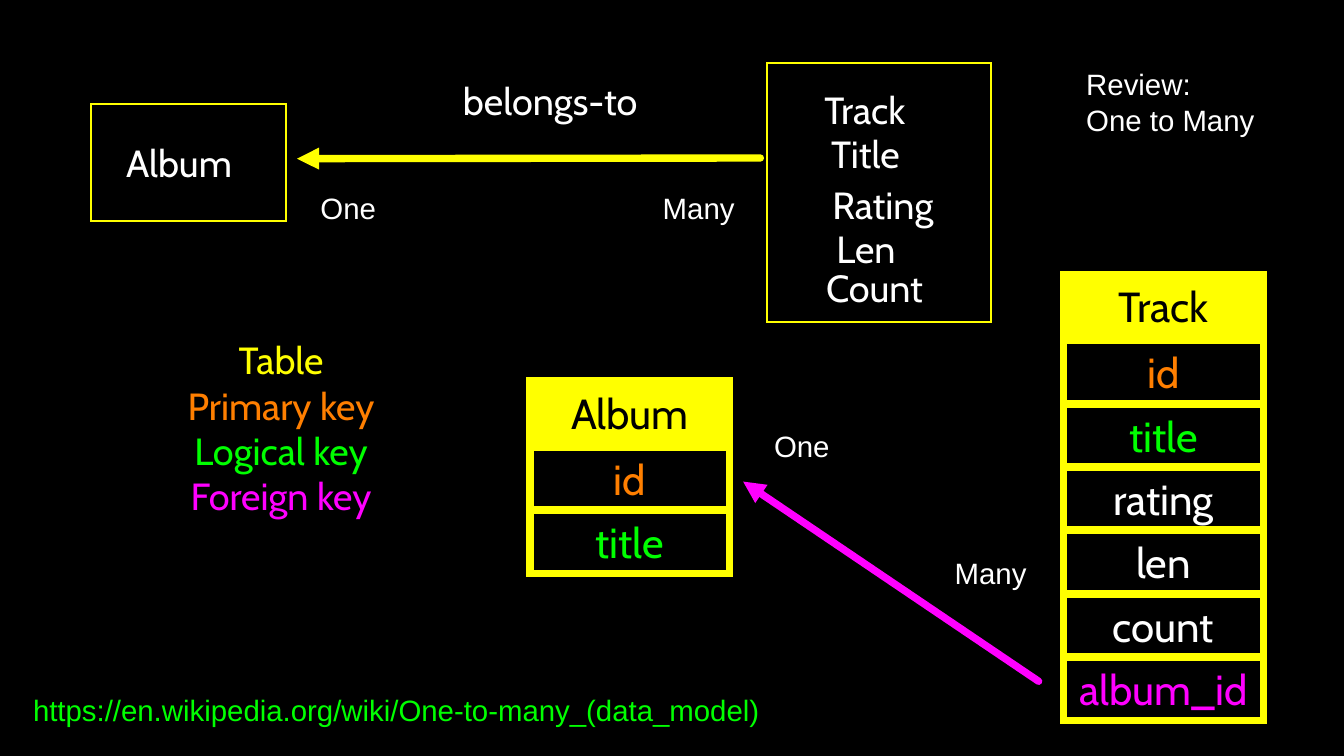
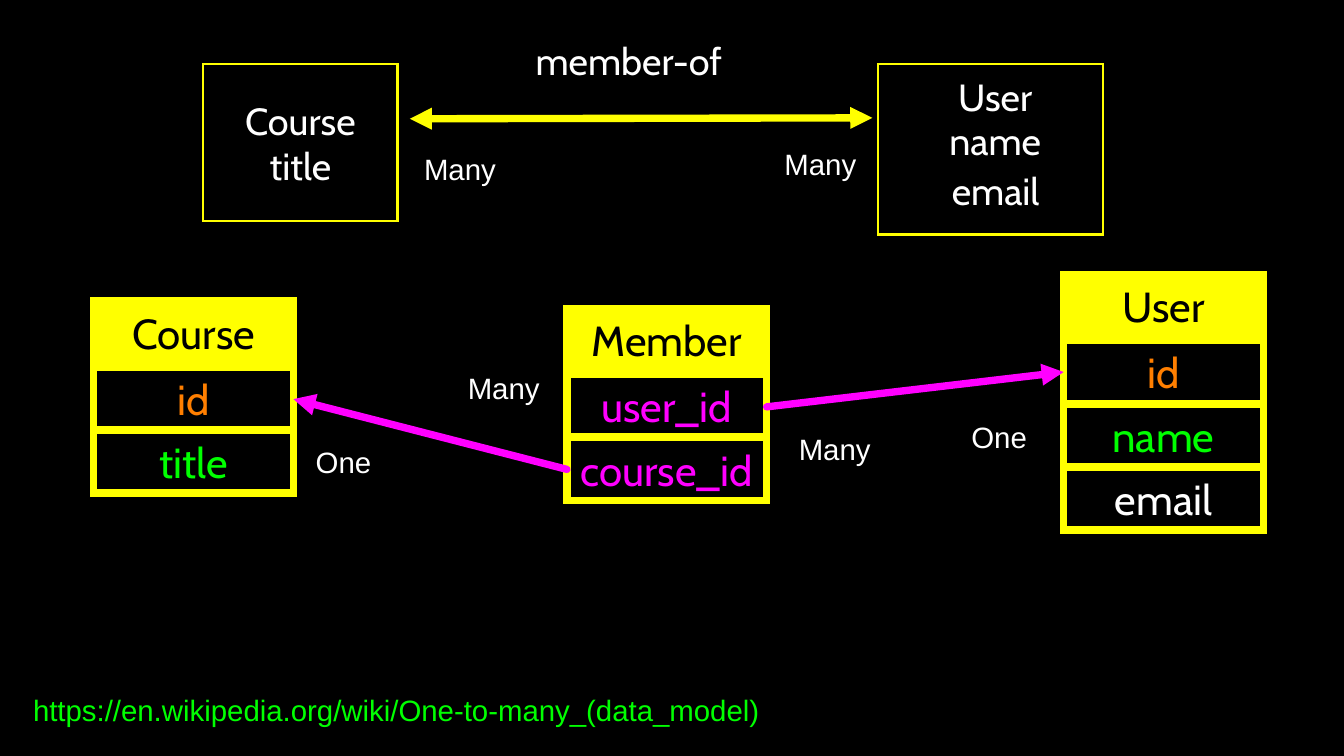
"""Build two slides on one-to-many and many-to-many data models."""

from lxml.etree import SubElement
from pptx import Presentation
from pptx.dml.color import RGBColor
from pptx.enum.shapes import MSO_CONNECTOR, MSO_SHAPE
from pptx.enum.text import MSO_ANCHOR, MSO_AUTO_SIZE, PP_ALIGN
from pptx.oxml.ns import qn
from pptx.util import Cm, Pt

BLACK = RGBColor(0x00, 0x00, 0x00)
WHITE = RGBColor(0xFF, 0xFF, 0xFF)
YELLOW = RGBColor(0xFF, 0xFF, 0x00)
ORANGE = RGBColor(0xFF, 0x7F, 0x00)
GREEN = RGBColor(0x00, 0xFF, 0x00)
MAGENTA = RGBColor(0xFF, 0x00, 0xFF)

DIAGRAM_FONT = "Cabin"
NOTE_FONT = "Arial"
CELL_WIDTH, CELL_HEIGHT = 6.71, 2.11
HEADER_PITCH, ROW_PITCH = 2.22, 2.13
LABEL_HEIGHT, NOTE_HEIGHT = 1.73, 1.45
ONE_WIDTH, MANY_WIDTH = 2.6, 3.1
SOURCE_NOTE = ("https://en.wikipedia.org/wiki/One-to-many_(data_model)", 0.86, 23.14, 25.4, GREEN)

SLIDES = [
    {
        "frames": [(25.76, 2.11, 7.54, 8.71), (3.07, 3.51, 6.53, 3.91)],
        "tables": [
            (17.81, 12.8, "Album", [("id", ORANGE), ("title", GREEN)]),
            (35.74, 9.22, "Track", [
                ("id", ORANGE), ("title", GREEN), ("rating", WHITE),
                ("len", WHITE), ("count", WHITE), ("album_id", MAGENTA),
            ]),
        ],
        "arrows": [
            (9.98, 5.33, 25.55, 5.31, YELLOW, ["headEnd"]),
            (24.97, 16.18, 34.9, 22.89, MAGENTA, ["headEnd"]),
        ],
        "labels": [
            ("Album", 3.82, 4.6, 4.39, [WHITE]),
            ("belongs-to", 14.96, 2.51, 7.06, [WHITE]),
            ("Table\nPrimary key\nLogical key\nForeign key", 5.05, 11.33, 8.79,
             [YELLOW, ORANGE, GREEN, MAGENTA]),
            ("Track", 27.14, 2.82, 3.84, [WHITE]),
            ("Title", 27.39, 4.29, 3.38, [WHITE]),
            ("Rating", 27.43, 5.99, 4.47, [WHITE]),
            ("Len", 27.65, 7.47, 2.9, [WHITE]),
            ("Count", 27.58, 8.79, 3.61, [WHITE]),
        ],
        "notes": [
            ("Many", 31.83, 18.54, MANY_WIDTH, WHITE),
            ("One", 25.76, 14.27, ONE_WIDTH, WHITE),
            ("Review:\nOne to Many", 36.25, 2.11, 6.4, WHITE),
            ("Many", 22.02, 6.27, MANY_WIDTH, WHITE),
            ("One", 10.52, 6.27, ONE_WIDTH, WHITE),
        ],
    },
    {
        "frames": [(29.51, 2.16, 7.54, 5.72), (6.83, 2.16, 6.53, 5.28)],
        "tables": [
            (19.05, 10.36, "Member", [("user_id", MAGENTA), ("course_id", MAGENTA)]),
            (35.74, 9.22, "User", [("id", ORANGE), ("name", GREEN), ("email", WHITE)]),
            (3.15, 10.11, "Course", [("id", ORANGE), ("title", GREEN)]),
        ],
        "arrows": [
            (13.77, 3.99, 29.31, 3.96, YELLOW, ["headEnd", "tailEnd"]),
            (9.86, 13.41, 19.05, 15.77, MAGENTA, ["headEnd"]),
            (35.74, 12.5, 25.76, 13.67, MAGENTA, ["headEnd"]),
        ],
        "labels": [
            ("Course\ntitle", 7.9, 3.25, 4.39, [WHITE, WHITE]),
            ("member-of", 17.6, 1.17, 7.06, [WHITE]),
            ("User", 31.52, 2.36, 3.84, [WHITE]),
            ("name", 31.75, 3.84, 3.38, [WHITE]),
            ("email", 31.22, 5.54, 4.47, [WHITE]),
        ],
        "notes": [
            ("Many", 26.59, 14.35, MANY_WIDTH, WHITE),
            ("One", 32.39, 13.97, ONE_WIDTH, WHITE),
            ("Many", 26.11, 4.8, MANY_WIDTH, WHITE),
            ("Many", 14, 4.95, MANY_WIDTH, WHITE),
            ("One", 10.36, 14.81, ONE_WIDTH, WHITE),
            ("Many", 15.47, 12.32, MANY_WIDTH, WHITE),
        ],
    },
]


def add_rectangle(slide, left, top, width, height, line_width):
    shape = slide.shapes.add_shape(
        MSO_SHAPE.RECTANGLE, Cm(left), Cm(top), Cm(width), Cm(height))
    shape.shadow.inherit = False
    shape.fill.background()
    shape.line.color.rgb = YELLOW
    shape.line.width = Pt(line_width)
    outline = shape.element.spPr.find(qn("a:ln"))
    SubElement(outline, qn("a:miter"), lim="800000")
    return shape


def write_centred(shape, text, size, colours):
    text_frame = shape.text_frame
    text_frame.text = text
    text_frame.word_wrap = True
    text_frame.vertical_anchor = MSO_ANCHOR.MIDDLE
    text_frame.margin_left = text_frame.margin_right = 0
    text_frame.margin_top = text_frame.margin_bottom = 0
    for paragraph, colour in zip(text_frame.paragraphs, colours):
        paragraph.alignment = PP_ALIGN.CENTER
        paragraph.font.name = DIAGRAM_FONT
        paragraph.font.size = Pt(size)
        paragraph.font.color.rgb = colour


presentation = Presentation()
presentation.slide_width = Cm(45.16)
presentation.slide_height = Cm(25.4)

for content in SLIDES:
    slide = presentation.slides.add_slide(presentation.slide_layouts[6])
    slide.background.fill.solid()
    slide.background.fill.fore_color.rgb = BLACK

    for left, top, width, height in content["frames"]:
        add_rectangle(slide, left, top, width, height, 2)

    for left, top, table_name, columns in content["tables"]:
        header = add_rectangle(slide, left, top, CELL_WIDTH, CELL_HEIGHT, 7)
        header.fill.solid()
        header.fill.fore_color.rgb = YELLOW
        write_centred(header, table_name, 40, [BLACK])
        for index, (column_name, colour) in enumerate(columns):
            cell_top = top + HEADER_PITCH + index * ROW_PITCH
            cell = add_rectangle(slide, left, cell_top, CELL_WIDTH, CELL_HEIGHT, 7)
            write_centred(cell, column_name, 40, [colour])

    for start_x, start_y, end_x, end_y, colour, arrowheads in content["arrows"]:
        arrow = slide.shapes.add_connector(
            MSO_CONNECTOR.STRAIGHT, Cm(start_x), Cm(start_y), Cm(end_x), Cm(end_y))
        arrow.line.color.rgb = colour
        arrow.line.width = Pt(7)
        properties = arrow.element.spPr
        outline = properties.find(qn("a:ln"))
        outline.set("cap", "rnd")
        for arrowhead in arrowheads:
            SubElement(outline, qn(f"a:{arrowhead}"), type="triangle")
        SubElement(properties, qn("a:effectLst"))

    for text, left, top, width, colours in content["labels"]:
        height = LABEL_HEIGHT if len(colours) == 1 else 0.09 + 1.5 * len(colours)
        label = slide.shapes.add_textbox(Cm(left), Cm(top), Cm(width), Cm(height))
        write_centred(label, text, 36, colours)

    for text, left, top, width, colour in content["notes"] + [SOURCE_NOTE]:
        height = NOTE_HEIGHT + 1.19 * text.count("\n")
        note = slide.shapes.add_textbox(Cm(left), Cm(top), Cm(width), Cm(height))
        note.text_frame.text = text
        note.text_frame.word_wrap = True
        note.text_frame.auto_size = MSO_AUTO_SIZE.SHAPE_TO_FIT_TEXT
        for paragraph in note.text_frame.paragraphs:
            paragraph.font.name = NOTE_FONT
            paragraph.font.size = Pt(28)
            paragraph.font.color.rgb = colour

presentation.save("out.pptx")
